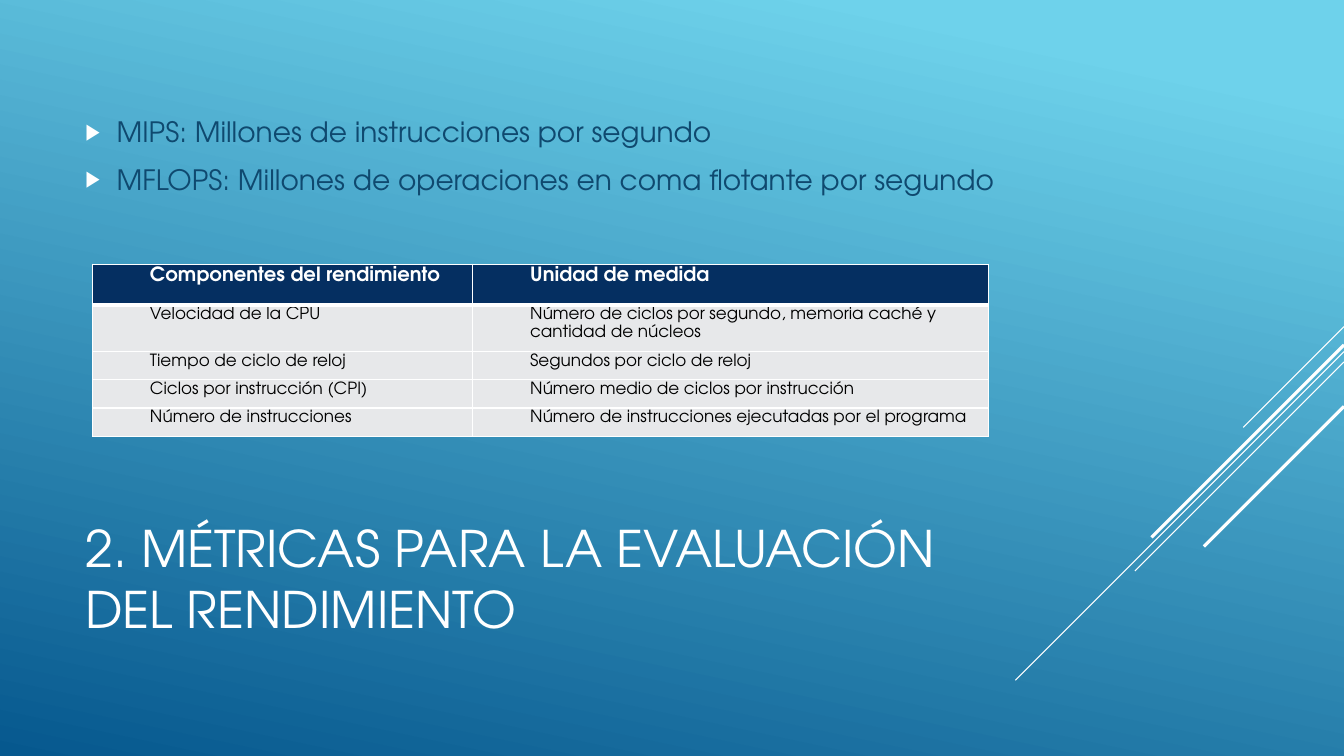
from lxml import etree
from pptx import Presentation, util as u
from pptx.dml.color import RGBColor
from pptx.enum import shapes, text
from pptx.oxml.ns import qn

C = {"white": "FFFFFF", "light": "6ED2EB", "deep": "06588E", "body": "0F496F",
     "head": "052F61", "cell": "E7E8EA", "black": "000000"}
FONT = "TeX Gyre Adventor"


def add_run(p, words, size, color, bold=False):
    r = p.add_run()
    r.text = words
    r.font.name = FONT
    r.font.size = u.Pt(size)
    r.font.bold = bold
    r.font.color.rgb = RGBColor.from_string(C[color])


def add_box(s, top, height):
    sp = s.shapes.add_textbox(u.Cm(1.9), u.Cm(top), u.Cm(23.7), u.Cm(height))
    tf = sp.text_frame
    tf.word_wrap = True
    tf.vertical_anchor = text.MSO_ANCHOR.MIDDLE
    return tf


prs = Presentation()
prs.slide_width, prs.slide_height = u.Cm(33.87), u.Cm(19.05)
s = prs.slides.add_slide(prs.slide_layouts[6])

bg = s.background.fill
bg.gradient()
bg.gradient_angle = 258
for stop, pos, name in zip(bg.gradient_stops, (0.1, 1), ("light", "deep")):
    stop.position = pos
    stop.color.rgb = RGBColor.from_string(C[name])

right = 33.87
for top, run, width in [(8.23, 2.54, 0.75), (8.86, 8.28, 0.75), (9.12, 5.27, 0.75),
                        (8.69, 4.85, 2.25), (10.24, 3.53, 2.25)]:
    ln = s.shapes.add_connector(shapes.MSO_CONNECTOR.STRAIGHT, u.Cm(right), u.Cm(top),
                                u.Cm(right - run), u.Cm(top + run))
    ln.line.color.rgb = RGBColor.from_string(C["white"])
    ln.line.width = u.Pt(width)
    etree.SubElement(ln._element.spPr, qn("a:effectLst"))

tf = add_box(s, 12.47, 4.19)
add_run(tf.paragraphs[0], "2. MÉTRICAS PARA LA EVALUACIÓN DEL RENDIMIENTO", 36, "white")

tf = add_box(s, 1.9, 4.04)
bullets = ["MIPS: Millones de instrucciones por segundo",
           "MFLOPS: Millones de operaciones en coma flotante por segundo"]
for i, words in enumerate(bullets):
    p = tf.add_paragraph() if i else tf.paragraphs[0]
    p.space_before, p.space_after = u.Pt(4), u.Pt(6)
    pPr = p._p.get_or_add_pPr()
    pPr.set("marL", str(u.Cm(0.79)))
    pPr.set("indent", str(-u.Cm(0.79)))
    clr = etree.SubElement(pPr, qn("a:buClr"))
    etree.SubElement(clr, qn("a:srgbClr"), val=C["white"])
    etree.SubElement(pPr, qn("a:buSzPct"), val="80000")
    etree.SubElement(pPr, qn("a:buFont"), typeface="Arial")
    etree.SubElement(pPr, qn("a:buChar"), char="▶")
    add_run(p, words, 20, "body")

rows = [("Componentes del rendimiento", "Unidad de medida"),
        ("Velocidad de la CPU", "Número de ciclos por segundo, memoria caché y cantidad de núcleos"),
        ("Tiempo de ciclo de reloj", "Segundos por ciclo de reloj"),
        ("Ciclos por instrucción (CPI)", "Número medio de ciclos por instrucción"),
        ("Número de instrucciones", "Número de instrucciones ejecutadas por el programa")]
widths = [9.58, 13]
heights = [1.03, 1.08, 0.71, 0.71, 0.71]
tbl = s.shapes.add_table(len(rows), len(widths), u.Cm(2.33), u.Cm(6.66),
                         u.Cm(sum(widths)), u.Cm(sum(heights))).table
for col, w in zip(tbl.columns, widths):
    col.width = u.Cm(w)
for i, (row, h) in enumerate(zip(rows, heights)):
    tbl.rows[i].height = u.Cm(h)
    for j, words in enumerate(row):
        cell = tbl.cell(i, j)
        cell.margin_left = cell.margin_right = u.Cm(0.18)
        cell.margin_top = cell.margin_bottom = 0
        tcPr = cell._tc.get_or_add_tcPr()
        for side in "LRTB":
            thick = (i, side) in [(0, "B"), (1, "T")]
            ln = etree.SubElement(tcPr, qn("a:ln" + side), w=str(u.Pt(3 if thick else 1)))
            fill = etree.SubElement(ln, qn("a:solidFill"))
            etree.SubElement(fill, qn("a:srgbClr"), val=C["white"])
        cell.fill.solid()
        cell.fill.fore_color.rgb = RGBColor.from_string(C["cell" if i else "head"])
        p = cell.text_frame.paragraphs[0]
        p.line_spacing = 1.15
        p._p.get_or_add_pPr().set("marL", str(u.Cm(1.27)))
        add_run(p, words, 12 if i else 14, "black" if i else "white", not i)

prs.save("out.pptx")
